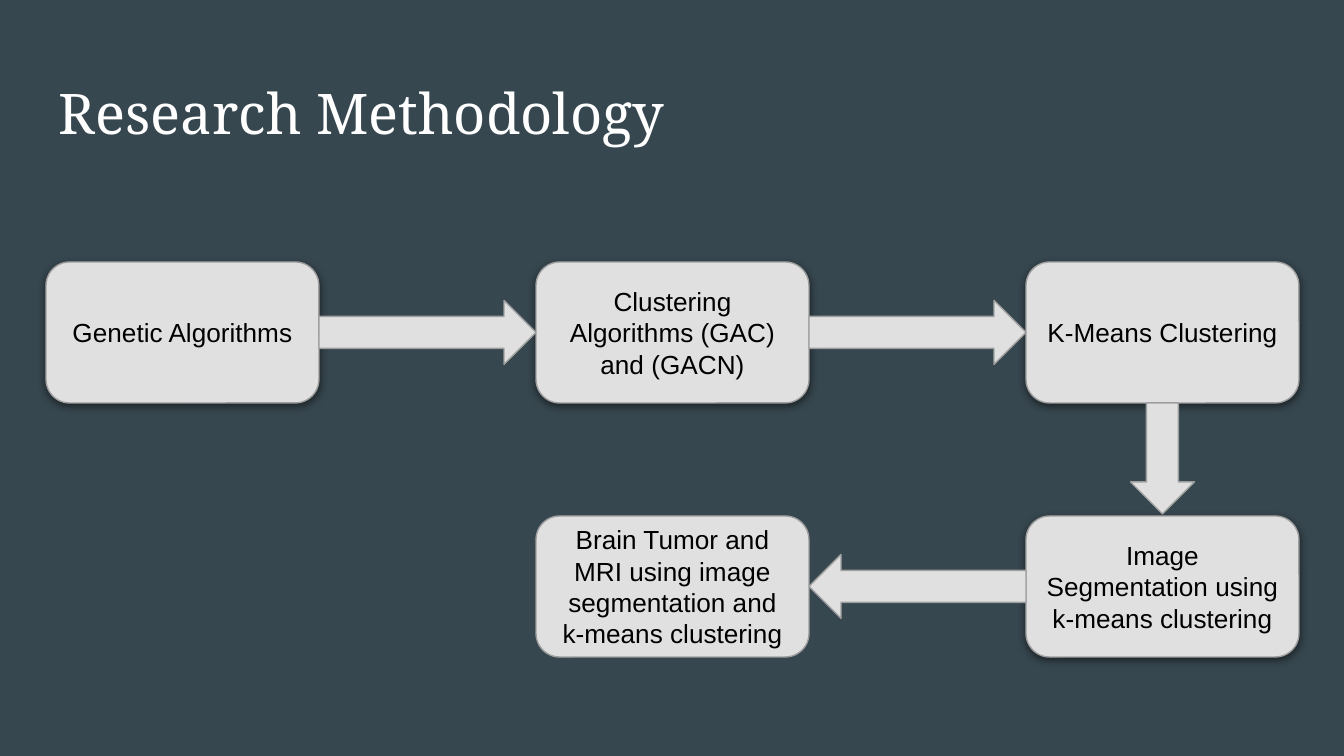
import pptx
import pptx.dml.color
import pptx.enum.shapes
import pptx.enum.text
import pptx.util
from lxml import etree
from pptx.oxml import ns

SHAPES = pptx.enum.shapes.MSO_SHAPE
ANCHOR = pptx.enum.text.MSO_ANCHOR
ALIGN = pptx.enum.text.PP_ALIGN
SCALE = 9144000 / 1344
COLORS = {
    "background": "37474F",
    "title": "FFFFFF",
    "fill": "E0E0E0",
    "outline": "9E9E9E",
    "text": "000000",
    "shadow": "000000",
}
INSET = 13
STEP_WIDTH, STEP_HEIGHT = 273, 141
ARROW_THICKNESS = 64

# Text, column, row, has a shadow
STEPS = [
    ("Genetic Algorithms", 0, 0, True),
    ("Brain Tumor and MRI using image segmentation and k-means clustering", 1, 1, False),
    ("Image Segmentation using k-means clustering", 2, 1, True),
    ("Clustering Algorithms (GAC) and (GACN)", 1, 0, True),
    ("K-Means Clustering", 2, 0, True),
]
# Preset, column of the gap on its left, row
SIDE_ARROWS = [
    (SHAPES.RIGHT_ARROW, 0, 0),
    (SHAPES.RIGHT_ARROW, 1, 0),
    (SHAPES.LEFT_ARROW, 1, 1),
]


def px(length):
    """Turn picture pixels into EMU."""
    return pptx.util.Emu(round(length * SCALE))


def color(name):
    """Look up a named colour."""
    return pptx.dml.color.RGBColor.from_string(COLORS[name])


def write_text(shape, text, font, size, color_name, align, anchor):
    """Put one formatted paragraph into a shape."""
    frame = shape.text_frame
    frame.text = text
    frame.word_wrap = True
    frame.vertical_anchor = anchor
    frame.margin_left = frame.margin_right = px(INSET)
    frame.margin_top = frame.margin_bottom = px(INSET)
    paragraph = frame.paragraphs[0]
    paragraph.alignment = align
    run = paragraph.runs[0]
    run.font.name = font
    run.font.size = pptx.util.Pt(size)
    run.font.color.rgb = color(color_name)


def add_drop_shadow(shape):
    """Give a shape a soft shadow falling straight down."""
    effects = shape._element.spPr.find(ns.qn("a:effectLst"))
    shadow = etree.SubElement(
        effects, ns.qn("a:outerShdw"), blurRad=str(pptx.util.Pt(4.5)),
        dist=str(pptx.util.Pt(1.5)), dir="5400000", algn="bl", rotWithShape="0")
    shade = etree.SubElement(shadow, ns.qn("a:srgbClr"), val=COLORS["shadow"])
    etree.SubElement(shade, ns.qn("a:alpha"), val="50000")


def add_block(slide, preset, left, top, width, height):
    """Add a grey outlined preset shape."""
    shape = slide.shapes.add_shape(preset, px(left), px(top), px(width), px(height))
    shape.shadow.inherit = False
    shape.fill.solid()
    shape.fill.fore_color.rgb = color("fill")
    shape.line.color.rgb = color("outline")
    shape.line.width = pptx.util.Pt(0.75)
    return shape


def add_title(slide, left, top, width, height):
    """Add the slide title in the given box."""
    title = slide.shapes.add_textbox(px(left), px(top), px(width), px(height))
    write_text(title, "Research Methodology", "Noto Serif", 30, "title",
               ALIGN.LEFT, ANCHOR.TOP)


def add_flow(slide, left, top, width, height):
    """Add the steps on a grid of three columns and two rows, with arrows."""
    column_pitch = (width - STEP_WIDTH) / 2
    row_pitch = height - STEP_HEIGHT
    for text, column, row, has_shadow in STEPS:
        step = add_block(slide, SHAPES.ROUNDED_RECTANGLE, left + column * column_pitch,
                         top + row * row_pitch, STEP_WIDTH, STEP_HEIGHT)
        step.adjustments[0] = 0.167
        write_text(step, text, "Arial", 14, "text", ALIGN.CENTER, ANCHOR.MIDDLE)
        if has_shadow:
            add_drop_shadow(step)

    side_offset = (STEP_HEIGHT - ARROW_THICKNESS) / 2
    for preset, column, row in SIDE_ARROWS:
        add_block(slide, preset, left + column * column_pitch + STEP_WIDTH,
                  top + row * row_pitch + side_offset,
                  column_pitch - STEP_WIDTH, ARROW_THICKNESS)
    add_block(slide, SHAPES.DOWN_ARROW,
              left + width - (STEP_WIDTH + ARROW_THICKNESS) / 2, top + STEP_HEIGHT,
              ARROW_THICKNESS, row_pitch - STEP_HEIGHT - 2)


def main():
    """Build and save the presentation."""
    presentation = pptx.Presentation()
    presentation.slide_width = px(1344)
    presentation.slide_height = px(756)
    slide = presentation.slides.add_slide(presentation.slide_layouts[6])
    slide.background.fill.solid()
    slide.background.fill.fore_color.rgb = color("background")
    add_title(slide, 46, 66, 1253, 85)
    add_flow(slide, 46, 262, 1253, 395)
    presentation.save("out.pptx")


main()
